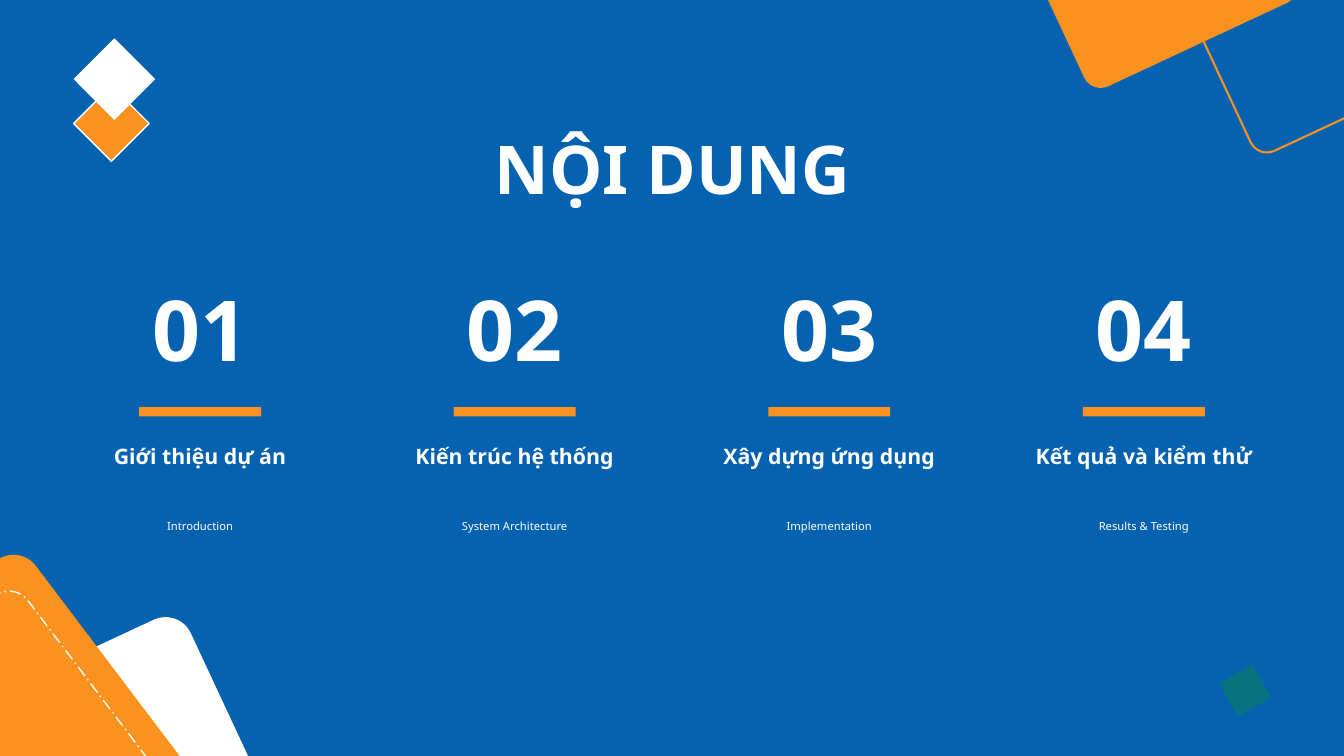
import pptx
import pptx.util
import pptx.dml.color
import pptx.enum.dml
import pptx.enum.shapes
import pptx.enum.text

Inches = pptx.util.Inches
Pt = pptx.util.Pt
SHAPE = pptx.enum.shapes.MSO_SHAPE

BLUE, ORANGE, WHITE, TEAL = "0562B0", "F9921E", "FFFFFF", "077381"
COLUMN_LEFT, COLUMN_PITCH, COLUMN_WIDTH, BAR_WIDTH = 0.73, 3.12, 2.51, 1.21
TOPICS = [
    ("Giới thiệu dự án", "Introduction"),
    ("Kiến trúc hệ thống", "System Architecture"),
    ("Xây dựng ứng dụng", "Implementation"),
    ("Kết quả và kiểm thử", "Results & Testing"),
]


def rgb(value):
    return pptx.dml.color.RGBColor.from_string(value)


class Deck:
    """Holds the text style and the current slide."""

    font = "Noto Sans"

    def __init__(self):
        self.prs = pptx.Presentation()
        self.prs.slide_width, self.prs.slide_height = Inches(13.33), Inches(7.5)
        self.s = self.prs.slides.add_slide(self.prs.slide_layouts[5])
        self.s.background.fill.solid()
        self.s.background.fill.fore_color.rgb = rgb(BLUE)

    def set_text(self, sp, text, size, bold, inset, spacing=None):
        tf = sp.text_frame
        tf.text = text
        tf.word_wrap = True
        tf.auto_size = pptx.enum.text.MSO_AUTO_SIZE.NONE
        tf.vertical_anchor = pptx.enum.text.MSO_ANCHOR.TOP
        tf.margin_left = tf.margin_right = 0
        tf.margin_top = tf.margin_bottom = Inches(inset)
        p = tf.paragraphs[0]
        p.alignment = pptx.enum.text.PP_ALIGN.CENTER
        p.line_spacing = spacing
        font = p.runs[0].font
        font.name, font.size, font.bold = self.font, Pt(size), bold
        font.color.rgb = rgb(WHITE)

    def title(self, text, left, top, width, height):
        sp = self.s.shapes.title
        sp.left, sp.top, sp.width, sp.height = map(Inches, (left, top, width, height))
        self.set_text(sp, text, 48, True, 0)

    def text(self, text, left, top, width, height, size, bold=True, inset=0.05, spacing=None):
        sp = self.s.shapes.add_textbox(*map(Inches, (left, top, width, height)))
        self.set_text(sp, text, size, bold, inset, spacing)

    def shape(self, kind, left, top, width, height, fill=None, line=None,
              weight=1, dash=None, rotation=0):
        sp = self.s.shapes.add_shape(kind, *map(Inches, (left, top, width, height)))
        sp.shadow.inherit = False
        sp.rotation = rotation
        if fill:
            sp.fill.solid()
            sp.fill.fore_color.rgb = rgb(fill)
        else:
            sp.fill.background()
        if line:
            sp.line.color.rgb = rgb(line)
            sp.line.width = Pt(weight)
            if dash:
                sp.line.dash_style = dash
        else:
            sp.line.fill.background()
        return sp

    def card(self, left, top, size, rotation, **style):
        """Adds a tilted square with rounded corners."""
        sp = self.shape(SHAPE.ROUNDED_RECTANGLE, left, top, size, size,
                        rotation=rotation, **style)
        sp.adjustments[0] = 0.077

    def diamond(self, left, top, size, **style):
        self.shape(SHAPE.DIAMOND, left, top, size, size, **style)

    def topic(self, index, name, subtitle):
        left = COLUMN_LEFT + index * COLUMN_PITCH
        self.text(f"{index + 1:02d}", left, 2.75, COLUMN_WIDTH, 1.11, 60, inset=0)
        self.shape(SHAPE.RECTANGLE, left + (COLUMN_WIDTH - BAR_WIDTH) / 2, 4.04,
                   BAR_WIDTH, 0.09, fill=ORANGE)
        self.text(name, left, 4.35, COLUMN_WIDTH, 0.42, 15.2)
        self.text(subtitle, left, 5.1, COLUMN_WIDTH, 0.27, 8, bold=False, spacing=1.04)


def main():
    deck = Deck()
    deck.title("NỘI DUNG", 4.79, 1.26, 3.76, 0.91)
    for index, (name, subtitle) in enumerate(TOPICS):
        deck.topic(index, name, subtitle)

    # Bottom left corner
    deck.card(-0.88, 6.62, 3.58, 335, fill=WHITE)
    deck.card(-1.95, 6.11, 3.58, 322.9, fill=ORANGE)
    deck.card(-1.68, 6.38, 3.04, 322.9, line=WHITE,
              dash=pptx.enum.dml.MSO_LINE.LONG_DASH_DOT)

    # Top right corner
    deck.card(10.23, -1.77, 2.32, 335, fill=ORANGE)
    deck.card(11.88, -1.13, 2.32, 335, line=ORANGE, weight=1.5)

    deck.diamond(12.08, 6.58, 0.54, fill=TEAL, rotation=15.4)
    deck.diamond(0.73, 0.85, 0.75, fill=ORANGE, line=WHITE)
    deck.diamond(0.73, 0.38, 0.81, fill=WHITE)
    deck.prs.save("out.pptx")


if __name__ == "__main__":
    main()
